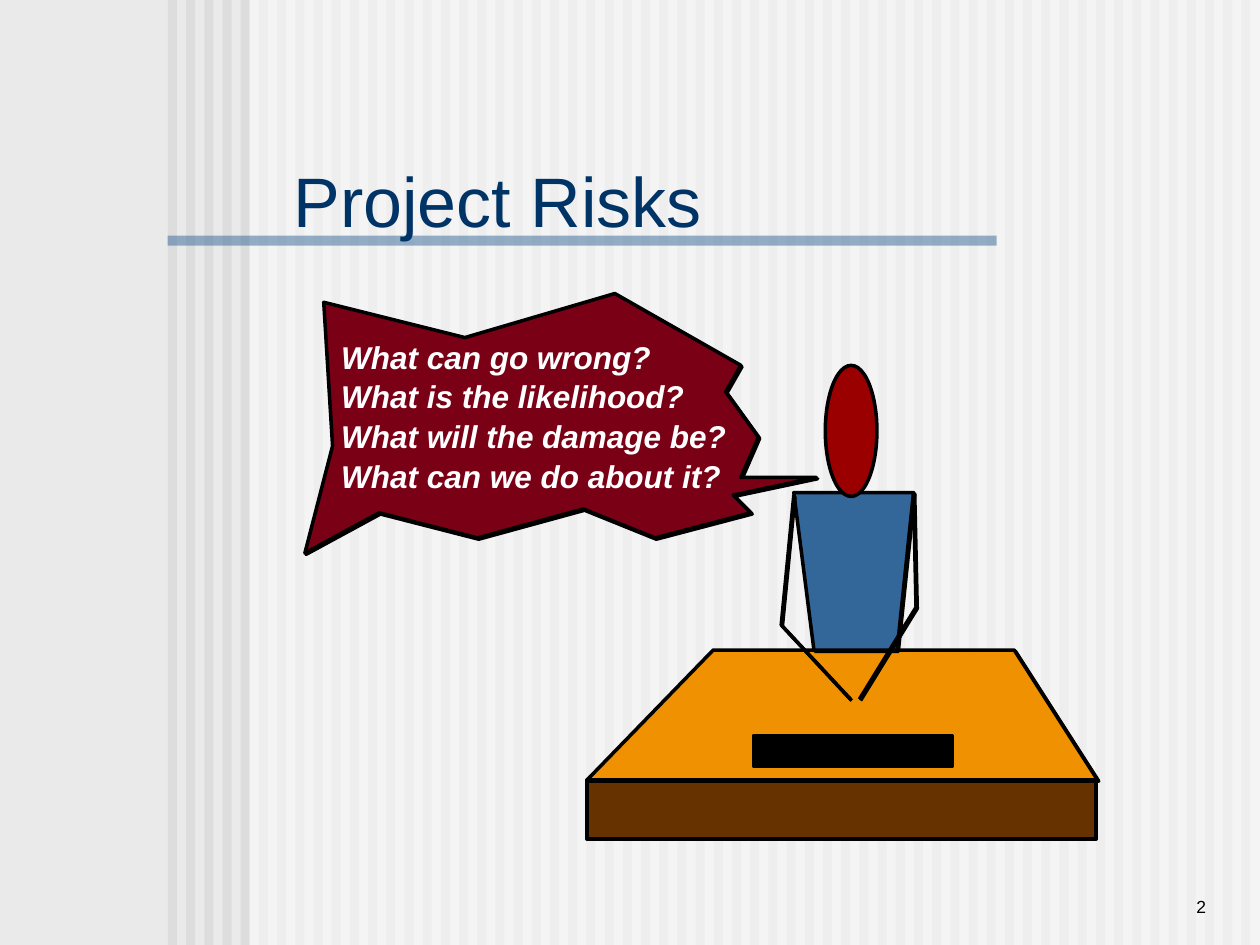
from lxml import etree
from pptx import Presentation
from pptx.dml.color import RGBColor
from pptx.enum.shapes import MSO_SHAPE
from pptx.enum.text import MSO_ANCHOR, MSO_AUTO_SIZE, PP_ALIGN
from pptx.oxml.ns import qn
from pptx.util import Inches, Pt

RECTANGLE, OVAL = MSO_SHAPE.RECTANGLE, MSO_SHAPE.OVAL
MIDDLE, TOP, BOTTOM = MSO_ANCHOR.MIDDLE, MSO_ANCHOR.TOP, MSO_ANCHOR.BOTTOM
LEFT, RIGHT = PP_ALIGN.LEFT, PP_ALIGN.RIGHT
NO_AUTOSIZE = MSO_AUTO_SIZE.NONE

COLUMNS, ROWS = 100, 75
CELL = Inches(0.1)
ECHO_SHIFT = 0.1
TITLE_ONLY_LAYOUT = 5

STRIPE_COUNT, STRIPE_START, STRIPE_PITCH = 60, 13.33, 1.444
QUESTION_TOP, QUESTION_PITCH = 26.3, 3.17
QUESTIONS = [
    ("What can go wrong?", 26.6),
    ("What is the likelihood?", 29.2),
    ("What will the damage be?", 32.5),
    ("What can we do about it?", 32.1),
]

CALLOUT = [
    (64.8, 37.9), (58.2, 39.3), (59.6, 40.7), (52, 42.7), (46.3, 40.4),
    (37.9, 42.7), (30.1, 40.7), (24.2, 43.9), (26.4, 35.4), (25.7, 24),
    (36.9, 26.8), (48.8, 23.3), (58.8, 29), (57.6, 31.1), (60.2, 34.7),
    (58.8, 37.9),
]
TABLE_TOP = [(46.6, 61.9), (56.6, 51.6), (80.5, 51.6), (87.1, 61.9)]
TORSO = [(64.6, 51.6), (63, 39.1), (72.5, 39.1), (71.2, 51.6)]
LEFT_ARM = [(63, 39.3), (62, 49.6), (67.5, 55.5)]
RIGHT_ARM = [(72.5, 39.1), (72.7, 48.2), (68.2, 55.5)]


def color(value):
    """Turn a hex string into a colour."""
    return RGBColor.from_string(value)


def cells(*values):
    """Convert grid cells into slide lengths."""
    return [round(value * CELL) for value in values]


def paint(shape, fill=None, line=None, alpha=None):
    """Set the fill, transparency and outline of a shape."""
    shape.shadow.inherit = False
    if fill:
        shape.fill.solid()
        shape.fill.fore_color.rgb = color(fill)
    else:
        shape.fill.background()
    if alpha:
        tone = shape.element.spPr.find(qn("a:solidFill")).find(qn("a:srgbClr"))
        etree.SubElement(tone, qn("a:alpha"), val=str(alpha * 1000))
    if line:
        shape.line.color.rgb = color(line)
        shape.line.width = Pt(2)
    else:
        shape.line.fill.background()


def add_block(slide, kind, box, **style):
    """Add a painted preset shape."""
    paint(slide.shapes.add_shape(kind, *cells(*box)), **style)


def add_outline(slide, points, shift=0, close=True, **style):
    """Add a painted freeform through grid points."""
    corners = [cells(x + shift, y + shift) for x, y in points]
    builder = slide.shapes.build_freeform(*corners[0])
    builder.add_line_segments(corners[1:], close=close)
    paint(builder.convert_to_shape(), **style)


def add_figure(slide, points, fill=None):
    """Add a black-edged freeform over its shifted echo."""
    close = fill is not None
    add_outline(slide, points, ECHO_SHIFT, close, line="000000")
    add_outline(slide, points, 0, close, fill=fill, line="000000")


def write(shape, text, size, tone, anchor=TOP, align=LEFT, wrap=True, strong=False):
    """Write one formatted paragraph into a shape."""
    frame = shape.text_frame
    frame.text = text
    frame.word_wrap = wrap
    frame.auto_size = NO_AUTOSIZE
    frame.vertical_anchor = anchor
    paragraph = frame.paragraphs[0]
    paragraph.alignment = align
    font = paragraph.font
    font.name, font.size, font.color.rgb = "Arial", Pt(size), color(tone)
    font.bold = font.italic = strong


def add_backdrop(slide):
    """Add the background, stripes, veil and title rule."""
    slide.background.fill.solid()
    slide.background.fill.fore_color.rgb = color("EAEAEA")
    for index in range(STRIPE_COUNT):
        left = STRIPE_START + index * STRIPE_PITCH
        add_block(slide, RECTANGLE, (left, 0, STRIPE_PITCH / 2, ROWS), fill="DDDDDD")
    add_block(slide, RECTANGLE, (19.8, 0, COLUMNS - 19.8, ROWS), fill="FFFFFF", alpha=50)
    add_block(slide, RECTANGLE, (13.3, 18.7, 65.8, 0.8), fill="336699", alpha=50)


def add_title(slide):
    """Place the title over the backdrop."""
    title = slide.shapes.title
    title.left, title.top, title.width, title.height = cells(22.3, 14.2, 58.5, 3.3)
    write(title, "Project Risks", 40, "003366", anchor=MIDDLE)
    slide.shapes._spTree.append(title.element)


def add_speaker(slide):
    """Draw the speech outline and the person at the table."""
    add_figure(slide, CALLOUT, "790015")
    add_block(slide, RECTANGLE, (46.6, 61.9, 40.4, 4.7), fill="663300", line="000000")
    add_figure(slide, TABLE_TOP, "EF9100")
    add_figure(slide, TORSO, "336699")
    for arm in (LEFT_ARM, RIGHT_ARM):
        add_figure(slide, arm)
    add_block(slide, OVAL, (65.5, 29, 4.1, 10.4), fill="9A0000", line="000000")


def add_questions(slide):
    """Stack the questions inside the speech outline."""
    for index, (question, width) in enumerate(QUESTIONS):
        top = QUESTION_TOP + index * QUESTION_PITCH
        box = slide.shapes.add_textbox(*cells(26.1, top, width, 4))
        write(box, question, 18, "FFFFFF", wrap=False, strong=True)


def main():
    """Build and save the slide."""
    presentation = Presentation()
    presentation.slide_width, presentation.slide_height = cells(COLUMNS, ROWS)
    slide = presentation.slides.add_slide(presentation.slide_layouts[TITLE_ONLY_LAYOUT])
    add_backdrop(slide)
    add_title(slide)
    add_speaker(slide)
    add_questions(slide)
    add_block(slide, RECTANGLE, (59.8, 58.4, 15.8, 2.4), fill="000000", line="000000")
    number = slide.shapes.add_textbox(*cells(82.5, 68.3, 14.2, 5))
    write(number, "2", 10, "000000", anchor=BOTTOM, align=RIGHT)
    presentation.save("out.pptx")


main()
